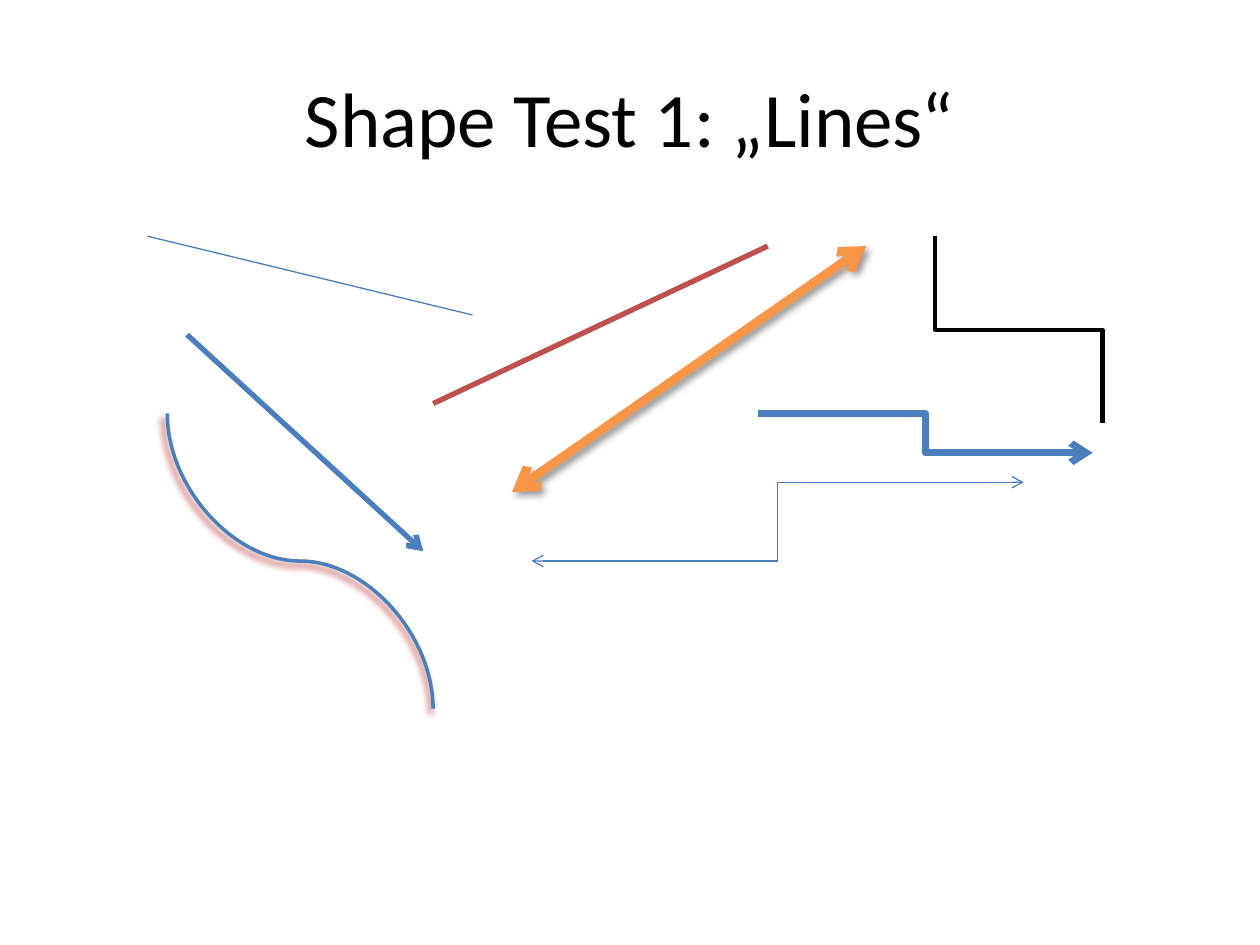
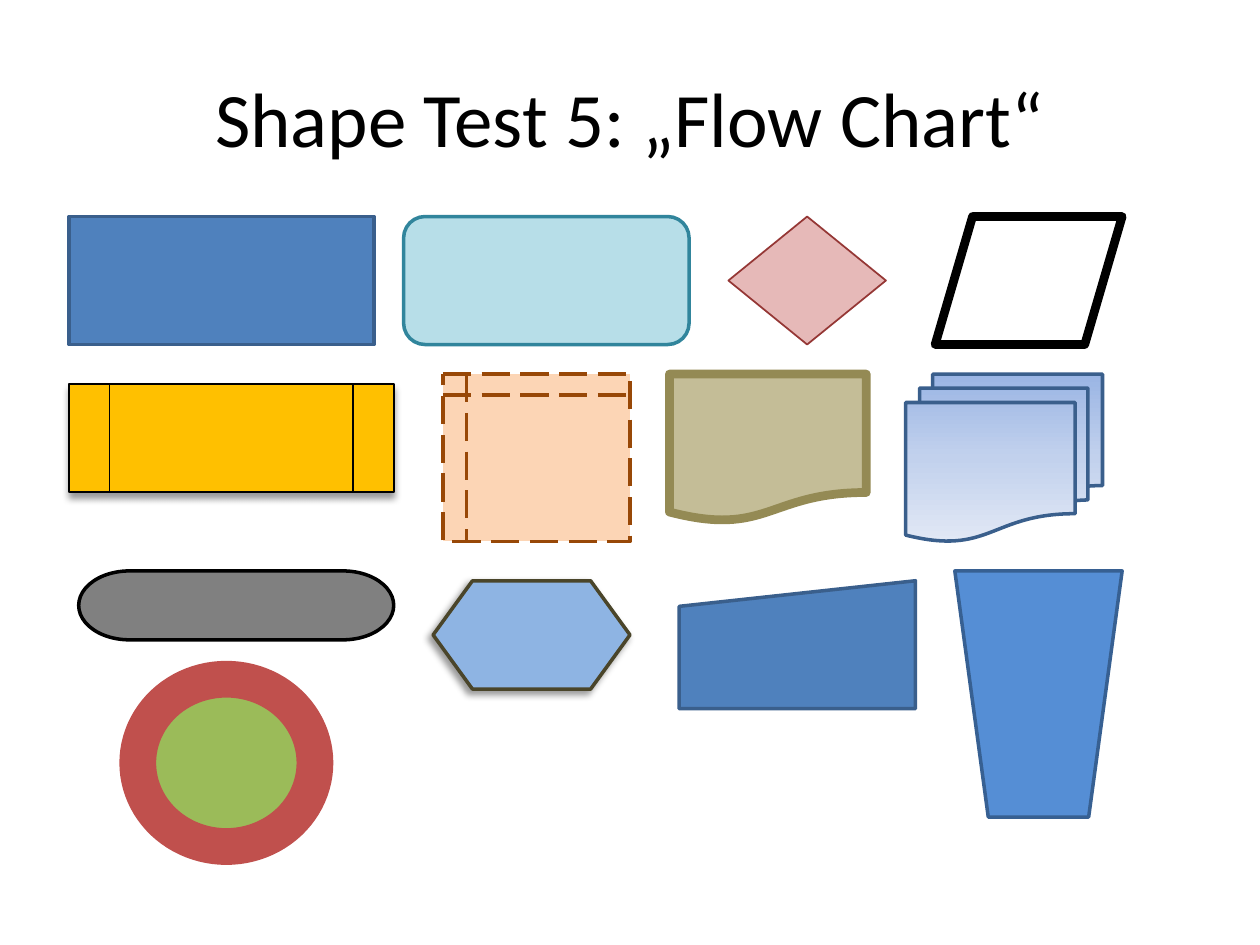
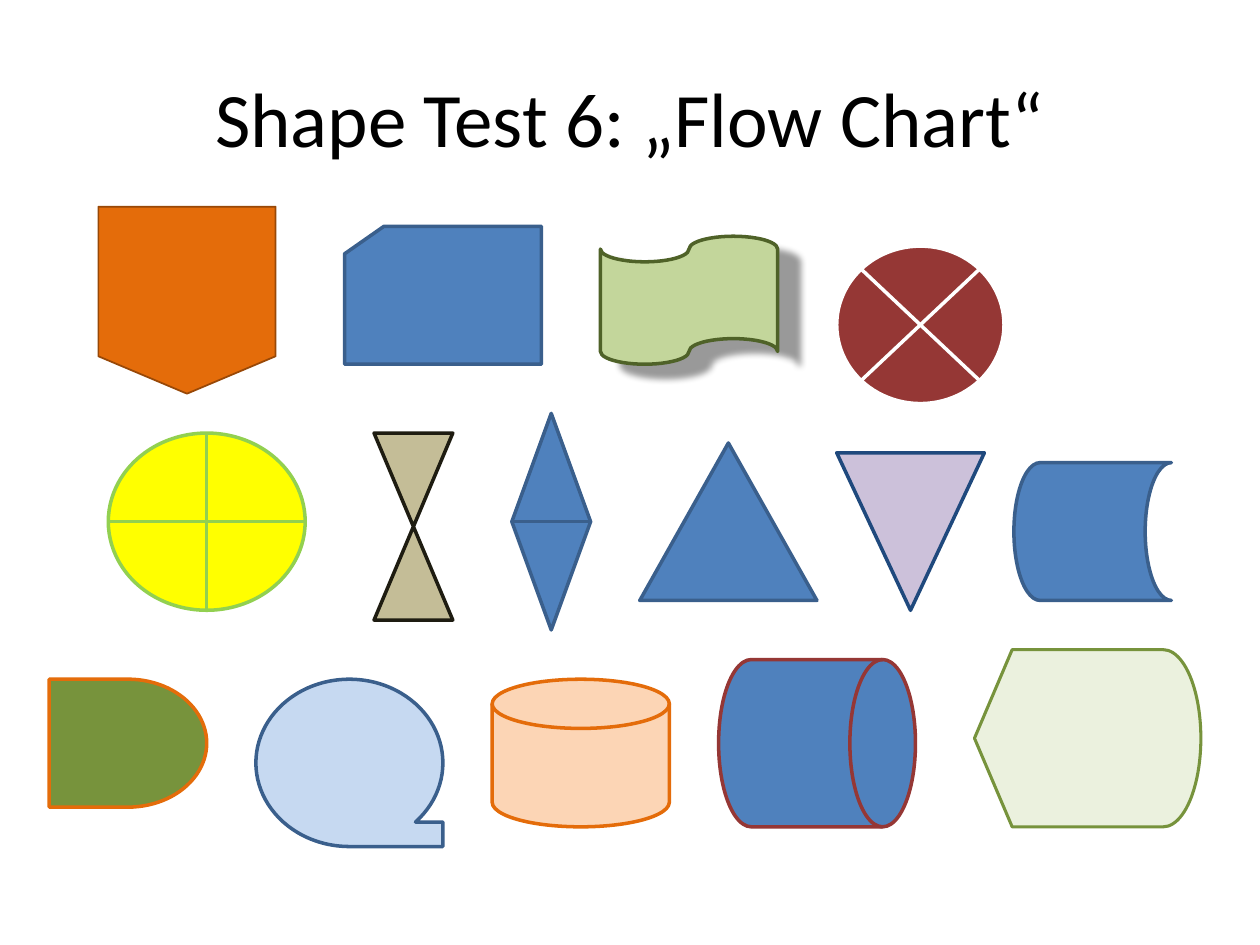
from copy import deepcopy

from lxml import etree
from pptx import Presentation
from pptx.dml.color import RGBColor
from pptx.enum.dml import MSO_LINE
from pptx.enum.shapes import MSO_CONNECTOR, MSO_SHAPE
from pptx.enum.text import MSO_ANCHOR, PP_ALIGN
from pptx.oxml.ns import qn
from pptx.util import Inches, Pt

STRAIGHT = MSO_CONNECTOR.STRAIGHT
ELBOW = MSO_CONNECTOR.ELBOW
CURVE = MSO_CONNECTOR.CURVE
LONG_DASH = MSO_LINE.LONG_DASH
CENTER = PP_ALIGN.CENTER
MIDDLE = MSO_ANCHOR.MIDDLE
PROCESS = MSO_SHAPE.FLOWCHART_PROCESS
ALTERNATE = MSO_SHAPE.FLOWCHART_ALTERNATE_PROCESS
DECISION = MSO_SHAPE.FLOWCHART_DECISION
DATA = MSO_SHAPE.FLOWCHART_DATA
PREDEFINED = MSO_SHAPE.FLOWCHART_PREDEFINED_PROCESS
INTERNAL = MSO_SHAPE.FLOWCHART_INTERNAL_STORAGE
DOCUMENT = MSO_SHAPE.FLOWCHART_DOCUMENT
MULTIDOCUMENT = MSO_SHAPE.FLOWCHART_MULTIDOCUMENT
TERMINATOR = MSO_SHAPE.FLOWCHART_TERMINATOR
PREPARATION = MSO_SHAPE.FLOWCHART_PREPARATION
MANUAL_INPUT = MSO_SHAPE.FLOWCHART_MANUAL_INPUT
MANUAL_OPERATION = MSO_SHAPE.FLOWCHART_MANUAL_OPERATION
JUNCTION = MSO_SHAPE.FLOWCHART_CONNECTOR
OFFPAGE = MSO_SHAPE.FLOWCHART_OFFPAGE_CONNECTOR
CARD = MSO_SHAPE.FLOWCHART_CARD
PUNCHED_TAPE = MSO_SHAPE.FLOWCHART_PUNCHED_TAPE
SUMMING = MSO_SHAPE.FLOWCHART_SUMMING_JUNCTION
OR = MSO_SHAPE.FLOWCHART_OR
COLLATE = MSO_SHAPE.FLOWCHART_COLLATE
SORT = MSO_SHAPE.FLOWCHART_SORT
EXTRACT = MSO_SHAPE.FLOWCHART_EXTRACT
MERGE = MSO_SHAPE.FLOWCHART_MERGE
STORED_DATA = MSO_SHAPE.FLOWCHART_STORED_DATA
DELAY = MSO_SHAPE.FLOWCHART_DELAY
MAGNETIC_TAPE = MSO_SHAPE.FLOWCHART_SEQUENTIAL_ACCESS_STORAGE
MAGNETIC_DISK = MSO_SHAPE.FLOWCHART_MAGNETIC_DISK
MAGNETIC_DRUM = MSO_SHAPE.FLOWCHART_DIRECT_ACCESS_STORAGE
DISPLAY = MSO_SHAPE.FLOWCHART_DISPLAY

FONT = "Calibri"
BLACK = "000000"
WHITE = "FFFFFF"
BLUE = "4F81BD"
DARK_BLUE = "3A5F8C"
LINE_BLUE = "4B7EBC"
RED = "C0504D"
DARK_RED = "953735"
ORANGE = "E46C0A"
BROWN = "984807"
PEACH = "FCD5B5"
TAN = "C4BD97"
OLIVE = "77933C"
GRADIENT = ((0, "9AB5E4"), (50, "C2D1ED"), (100, "E1E8F5"))

presentation = Presentation()
presentation.slide_width = Inches(10)
presentation.slide_height = Inches(7.5)
width, height = presentation.slide_width, presentation.slide_height
unit = width / 128


def color(value):
    return RGBColor.from_string(value)


def outline(shape, line_color, line_width, shadow):
    shape.line.color.rgb = color(line_color)
    shape.line.width = Pt(line_width)
    effects = etree.SubElement(shape.element.spPr, qn("a:effectLst"))
    if shadow:
        shadow_color, opacity, blur, distance, angle = shadow
        outer = etree.SubElement(
            effects, qn("a:outerShdw"), blurRad=str(Pt(blur)), dist=str(Pt(distance)),
            dir=str(angle * 60000), algn="ctr", rotWithShape="0")
        tint = etree.SubElement(outer, qn("a:srgbClr"), val=shadow_color)
        etree.SubElement(tint, qn("a:alpha"), val=str(opacity * 1000))


slides = []
for heading in ("Shape Test 1: „Lines“", "Shape Test 5: „Flow Chart“", "Shape Test 6: „Flow Chart“"):
    slide = presentation.slides.add_slide(presentation.slide_layouts[5])
    title = slide.shapes.title
    title.left, title.top = int(width * 0.05), int(height * 0.04)
    title.width, title.height = int(width * 0.9), int(height / 6)
    title.text_frame.vertical_anchor = MIDDLE
    paragraph = title.text_frame.paragraphs[0]
    paragraph.alignment = CENTER
    run = paragraph.add_run()
    run.text = heading
    run.font.name = FONT
    run.font.size = Pt(44)
    run.font.color.rgb = color(BLACK)
    slides.append(slide)
lines_slide, flow_slide, storage_slide = slides

lines = [
    (STRAIGHT, 15, 24, 48, 32, LINE_BLUE, 0.75, (), False, None),
    (STRAIGHT, 44, 41, 78, 25, RED, 3, (), False, None),
    (STRAIGHT, 19, 34, 43, 56, LINE_BLUE, 3, ("tailEnd",), False, None),
    (STRAIGHT, 52, 50, 88, 25, "F79646", 5, ("headEnd", "tailEnd"), False, (BLACK, 40, 4, 3, 45)),
    (ELBOW, 95, 24, 112, 43, BLACK, 2.5, (), True, None),
    (ELBOW, 77, 42, 111, 46, LINE_BLUE, 4, ("tailEnd",), False, None),
    (ELBOW, 54, 57, 104, 49, LINE_BLUE, 0.75, ("headEnd", "tailEnd"), False, None),
    (CURVE, 17, 42, 44, 72, LINE_BLUE, 2, (), True, (RED, 90, 4, 3, 135)),
]
for kind, x1, y1, x2, y2, line_color, line_width, arrows, upright, shadow in lines:
    if upright:
        center_x, center_y = (x1 + x2) / 2, (y1 + y2) / 2
        half_x, half_y = (y2 - y1) / 2, (x2 - x1) / 2
        x1, x2 = center_x + half_x, center_x - half_x
        y1, y2 = center_y - half_y, center_y + half_y
    connector = lines_slide.shapes.add_connector(kind, *(int(n * unit) for n in (x1, y1, x2, y2)))
    if upright:
        connector.element.spPr.find(qn("a:xfrm")).set("rot", str(270 * 60000))
    outline(connector, line_color, line_width, shadow)
    for end in arrows:
        etree.SubElement(connector.element.spPr.find(qn("a:ln")), qn("a:" + end), type="arrow")

flow_shapes = [
    (PROCESS, 7, 22, 31, 13, BLUE, DARK_BLUE, 2, None),
    (ALTERNATE, 41, 22, 29, 13, "B7DEE8", "31859C", 2, None),
    (DECISION, 74, 22, 16, 13, "E6B9B8", DARK_RED, 1, None),
    (DATA, 95, 22, 19, 13, None, BLACK, 5, None),
    (PREDEFINED, 7, 39, 33, 11, "FFC000", BLACK, 1, (BLACK, 40, 4, 3, 90)),
    (INTERNAL, 45, 38, 19, 17, PEACH, BROWN, 2, None),
    (DOCUMENT, 68, 38, 20, 15, TAN, "948A54", 5, None),
    (MULTIDOCUMENT, 92, 38, 20, 17, GRADIENT, DARK_BLUE, 2, None),
    (TERMINATOR, 8, 58, 32, 7, "808080", BLACK, 2, None),
    (PREPARATION, 44, 59, 20, 11, "8EB4E3", "4A452A", 2, (BLACK, 40, 4, 3, 135)),
    (MANUAL_INPUT, 69, 59, 24, 13, BLUE, DARK_BLUE, 2, None),
    (MANUAL_OPERATION, 97, 58, 17, 25, "558ED5", "376092", 2, None),
    (JUNCTION, 14, 69, 18, 17, "9BBB59", RED, 21, None),
]
storage_shapes = [
    (OFFPAGE, 10, 21, 18, 19, ORANGE, BROWN, 1, None),
    (CARD, 35, 23, 20, 14, BLUE, DARK_BLUE, 2, None),
    (PUNCHED_TAPE, 61, 24, 18, 13, "C3D69B", "4F6228", 2, (BLACK, 40, 4, 14, 32)),
    (SUMMING, 85, 25, 17, 16, DARK_RED, WHITE, 2, None),
    (OR, 11, 44, 20, 18, "FFFF00", "92D050", 2, None),
    (COLLATE, 38, 44, 8, 19, TAN, "1E1C11", 2, None),
    (SORT, 52, 42, 8, 22, BLUE, DARK_BLUE, 2, None),
    (EXTRACT, 65, 45, 18, 16, BLUE, DARK_BLUE, 2, None),
    (MERGE, 85, 46, 15, 16, "CCC1DA", "1F497D", 2, None),
    (STORED_DATA, 103, 47, 16, 14, BLUE, DARK_BLUE, 2, None),
    (DELAY, 5, 69, 16, 13, OLIVE, ORANGE, 2, None),
    (MAGNETIC_TAPE, 26, 69, 19, 17, "C6D9F1", DARK_BLUE, 2, None),
    (MAGNETIC_DISK, 50, 69, 18, 15, PEACH, ORANGE, 2, None),
    (MAGNETIC_DRUM, 73, 67, 20, 17, BLUE, DARK_RED, 2, None),
    (DISPLAY, 99, 66, 23, 18, "EBF1DE", OLIVE, 1.75, None),
]
for slide, shapes in ((flow_slide, flow_shapes), (storage_slide, storage_shapes)):
    for kind, column, row, columns, rows, fill, line_color, line_width, shadow in shapes:
        shape = slide.shapes.add_shape(kind, *(int(n * unit) for n in (column, row, columns, rows)))
        if fill is None:
            shape.fill.background()
        elif fill == GRADIENT:
            shape.fill.gradient()
            shape.fill.gradient_angle = 270
            stop_list = shape.element.spPr.find(qn("a:gradFill")).find(qn("a:gsLst"))
            stop_list.insert(1, deepcopy(stop_list[0]))
            for stop, (position, stop_color) in zip(shape.fill.gradient_stops, fill):
                stop.position = position / 100
                stop.color.rgb = color(stop_color)
        else:
            shape.fill.solid()
            shape.fill.fore_color.rgb = color(fill)
        outline(shape, line_color, line_width, shadow)
        if kind == INTERNAL:
            shape.line.dash_style = LONG_DASH

presentation.save("out.pptx")
